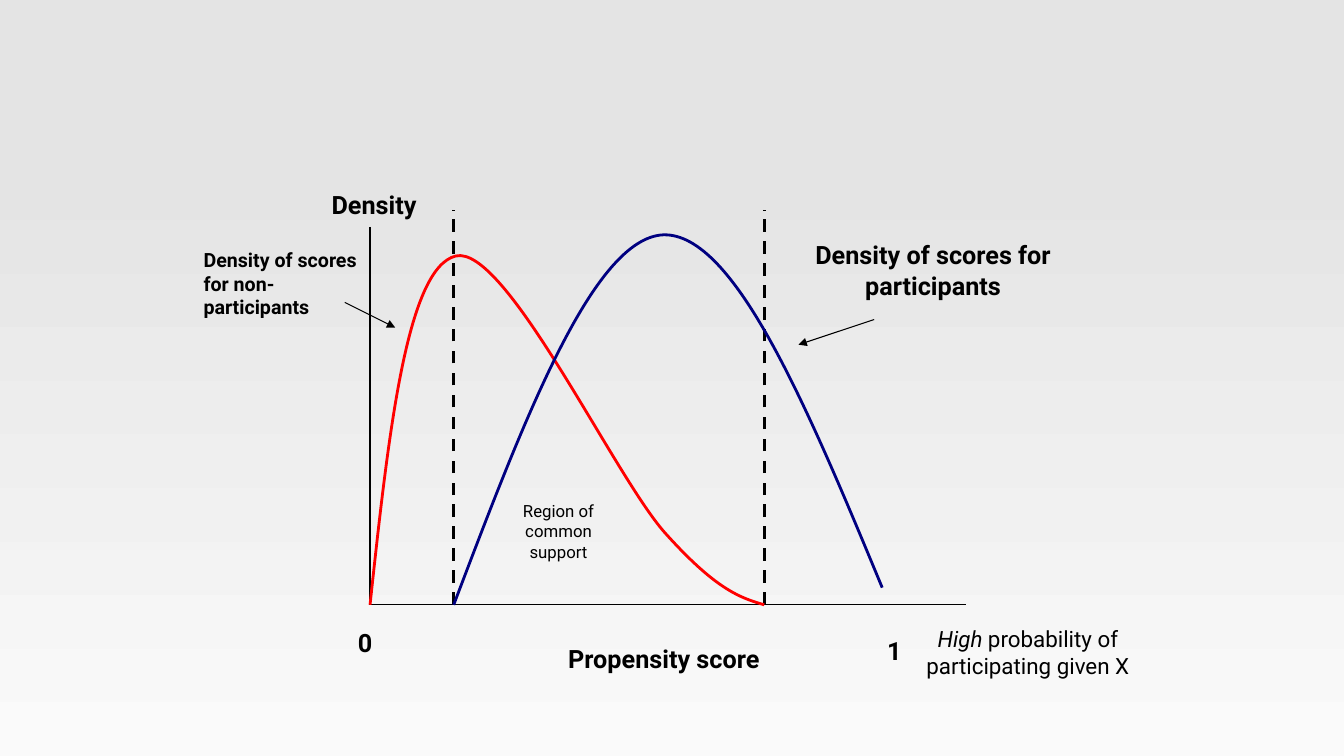
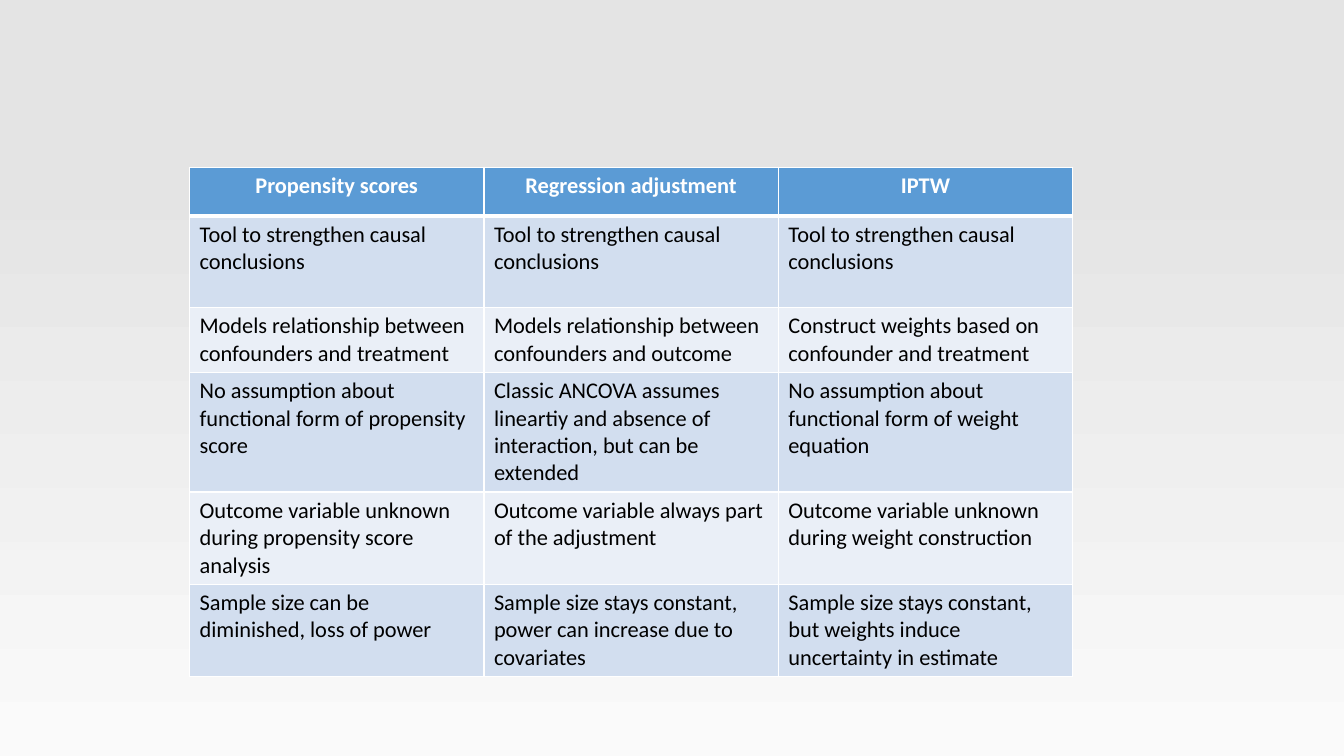
from lxml import etree
from pptx import Presentation
from pptx import util as u
from pptx.dml.color import RGBColor
from pptx.enum import dml, shapes, text
from pptx.oxml.ns import qn

PX = u.Inches(1) // 100
BLACK = RGBColor(0x00, 0x00, 0x00)
WHITE = RGBColor(0xFF, 0xFF, 0xFF)
RED = RGBColor(0xFF, 0x00, 0x00)
NAVY = RGBColor(0x00, 0x00, 0x80)
HEADER = RGBColor(0x5B, 0x9B, 0xD5)
BANDS = (RGBColor(0xEA, 0xEF, 0xF7), RGBColor(0xD2, 0xDE, 0xEF))
BACKDROP = ((0, RGBColor(0xFA, 0xFA, 0xFA)), (0.78, RGBColor(0xE4, 0xE4, 0xE4)))

AXIS_LEFT, AXIS_RIGHT, BASELINE = 367, 958, 600
SUPPORT_LEFT, SUPPORT_RIGHT, SUPPORT_TOP = 450, 758, 208

NON_PARTICIPANTS = [
    (AXIS_LEFT, BASELINE),
    (385, 433), (403, 266), (452, 254),
    (501, 242), (608, 470), (659, 528),
    (710, 585), (734, 593), (SUPPORT_RIGHT, BASELINE),
]
PARTICIPANTS = [
    (SUPPORT_LEFT, BASELINE),
    (519, 418), (588, 236), (658, 233),
    (729, 231), (802, 407), (875, 583),
]

COLUMN_WIDTH = 292
ROW_HEIGHTS = (48, 91, 64, 118, 91, 91)
COMPARISON = [
    ("Propensity scores", "Regression adjustment", "IPTW"),
    ("Tool to strengthen causal conclusions",) * 3,
    ("Models relationship between confounders and treatment",
     "Models relationship between confounders and outcome",
     "Construct weights based on confounder and treatment"),
    ("No assumption about functional form of propensity score",
     "Classic ANCOVA assumes lineartiy and absence of interaction, but can be extended",
     "No assumption about functional form of weight equation"),
    ("Outcome variable unknown during propensity score analysis",
     "Outcome variable always part of the adjustment",
     "Outcome variable unknown during weight construction"),
    ("Sample size can be diminished, loss of power",
     "Sample size stays constant, power can increase due to covariates",
     "Sample size stays constant, but weights induce uncertainty in estimate"),
]


def px(values):
    return [value * PX for value in values]


def style_font(font, color, **formats):
    for name, value in formats.items():
        setattr(font, name, value)
    font.color.rgb = color


def set_backdrop(master):
    fill = master.background.fill
    fill.gradient()
    fill.gradient_angle = 90
    for stop, (position, color) in zip(fill.gradient_stops, BACKDROP):
        stop.position = position
        stop.color.rgb = color


def add_label(slide, box, words, size=18, bold=True, italic_lead="",
              align=text.PP_ALIGN.CENTER, wrap=True):
    frame = slide.shapes.add_textbox(*px(box)).text_frame
    frame.word_wrap = wrap
    frame.auto_size = text.MSO_AUTO_SIZE.SHAPE_TO_FIT_TEXT
    for index, line in enumerate(words.split("\n")):
        paragraph = frame.add_paragraph() if index else frame.paragraphs[0]
        paragraph.alignment = align
        for content, italic in ((italic_lead, True), (line, False)):
            if content:
                run = paragraph.add_run()
                run.text = content
                style_font(run.font, BLACK, name="Roboto", size=u.Pt(size),
                           bold=bold, italic=italic)


def add_line(slide, start, end, width=0.75, dashed=False, arrow=False):
    connector = slide.shapes.add_connector(
        shapes.MSO_CONNECTOR.STRAIGHT, *px(start + end))
    line = connector.line
    line.color.rgb = BLACK
    line.width = u.Pt(width)
    if dashed:
        line.dash_style = dml.MSO_LINE.DASH
    properties = connector.element.spPr
    if arrow:
        outline = properties.find(qn("a:ln"))
        etree.SubElement(outline, qn("a:tailEnd"), type="triangle")
    etree.SubElement(properties, qn("a:effectLst"))


def add_curve(slide, points, color):
    builder = slide.shapes.build_freeform(*points[0], scale=PX)
    builder.add_line_segments(points[1:], close=False)
    shape = builder.convert_to_shape()
    shape.shadow.inherit = False
    shape.fill.background()
    shape.line.color.rgb = color
    shape.line.width = u.Pt(2)
    outline = shape.element.find(".//" + qn("a:path"))
    segments = outline.findall(qn("a:lnTo"))
    for first in range(0, len(segments), 3):
        curve = etree.SubElement(outline, qn("a:cubicBezTo"))
        for segment in segments[first:first + 3]:
            curve.append(segment[0])
            outline.remove(segment)


def add_border(cell, side, width):
    border = etree.SubElement(cell._tc.get_or_add_tcPr(), qn("a:ln" + side),
                              w=str(u.Pt(width)))
    fill = etree.SubElement(border, qn("a:solidFill"))
    etree.SubElement(fill, qn("a:srgbClr"), val=str(WHITE))


def fill_cell(cell, words, row):
    is_header = row == 0
    widths = {"L": 1, "R": 1, "T": 3 if row == 1 else 1, "B": 3 if is_header else 1}
    for side, width in widths.items():
        add_border(cell, side, width)
    cell.fill.solid()
    cell.fill.fore_color.rgb = HEADER if is_header else BANDS[row % 2]
    cell.text = words
    paragraph = cell.text_frame.paragraphs[0]
    paragraph.alignment = text.PP_ALIGN.CENTER if is_header else text.PP_ALIGN.LEFT
    style_font(paragraph.runs[0].font, WHITE if is_header else BLACK,
               name="Calibri", size=u.Pt(16), bold=is_header)


def add_comparison(slide, left, top):
    columns = len(COMPARISON[0])
    box = (left, top, COLUMN_WIDTH * columns, sum(ROW_HEIGHTS))
    table = slide.shapes.add_table(len(COMPARISON), columns, *px(box)).table
    table.horz_banding = False
    for column in table.columns:
        column.width = COLUMN_WIDTH * PX
    for row, (height, entries) in enumerate(zip(ROW_HEIGHTS, COMPARISON)):
        table.rows[row].height = height * PX
        for column, words in enumerate(entries):
            fill_cell(table.cell(row, column), words, row)


def draw_density(slide):
    add_line(slide, (867, 317), (792, 342), arrow=True)
    add_label(slide, (292, 183, 158, 40), "Density")
    add_label(slide, (283, 617, 158, 40), "0")
    add_label(slide, (808, 625, 158, 40), "1")
    add_label(slide, (517, 633, 283, 40), "Propensity score")
    add_label(slide, (500, 492, 108, 71), "Region of common support",
              size=12, bold=False)
    add_line(slide, (AXIS_LEFT, 225), (AXIS_LEFT, BASELINE))
    add_line(slide, (AXIS_LEFT, BASELINE), (AXIS_RIGHT, BASELINE))
    for edge in (SUPPORT_LEFT, SUPPORT_RIGHT):
        add_line(slide, (edge, BASELINE), (edge, SUPPORT_TOP), width=2.25, dashed=True)
    add_curve(slide, NON_PARTICIPANTS, RED)
    add_curve(slide, PARTICIPANTS, NAVY)
    add_label(slide, (767, 233, 317, 70), "Density of scores for participants")
    add_label(slide, (861, 615, 317, 64), "probability of participating given X",
              size=16, bold=False, italic_lead="High ")
    add_label(slide, (192, 241, 179, 81), "Density of scores\nfor non-\nparticipants",
              size=14, align=text.PP_ALIGN.LEFT, wrap=False)
    add_line(slide, (342, 300), (392, 325), arrow=True)


def main():
    presentation = Presentation()
    presentation.slide_width, presentation.slide_height = px((1333, 750))
    set_backdrop(presentation.slide_master)
    blank = presentation.slide_layouts[6]
    draw_density(presentation.slides.add_slide(blank))
    add_comparison(presentation.slides.add_slide(blank), 188, 166)
    presentation.save("out.pptx")


if __name__ == "__main__":
    main()
